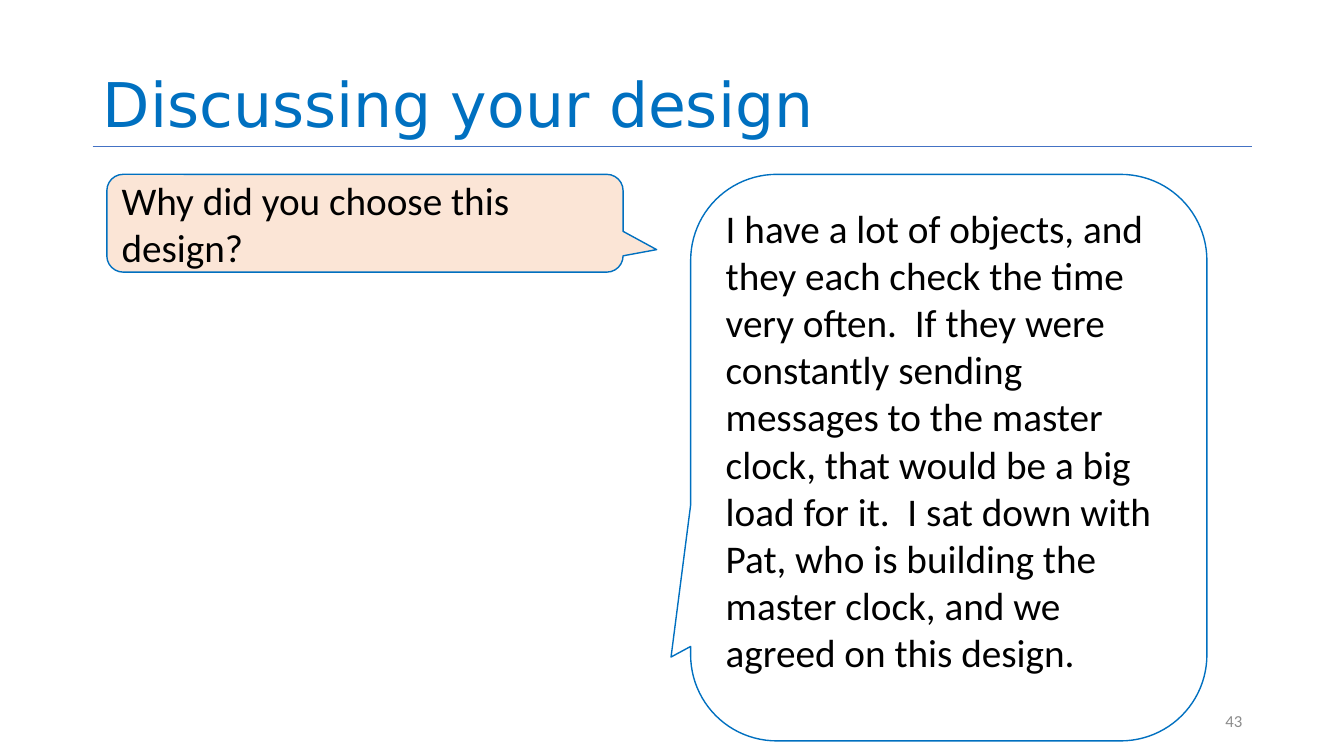
import pptx
import pptx.dml.color
import pptx.enum.shapes
import pptx.enum.text
import pptx.oxml
import pptx.util
from dataclasses import dataclass

TITLE = "Discussing your design"
NUMBER = "43"
QUESTION = "Why did you choose this design?"
ANSWER = (
    "I have a lot of objects, and they each check the time very often.  "
    "If they were constantly sending messages to the master clock, that "
    "would be a big load for it.  I sat down with Pat, who is building the "
    "master clock, and we agreed on this design."
)

Inches = pptx.util.Inches
Align = pptx.enum.text.PP_ALIGN
Anchor = pptx.enum.text.MSO_ANCHOR


@dataclass(frozen=True)
class Theme:
    blue: str = "0070C0"
    rule: str = "4472C4"
    peach: str = "FBE5D6"
    white: str = "FFFFFF"
    black: str = "000000"
    gray: str = "8C8C8C"
    head: str = "DejaVu Sans"
    body: str = "Calibri"
    title: int = 44
    talk: int = 28
    small: int = 12


theme = Theme()

# Callouts: text, top-left and size in inches, tail point, fill, anchor
TOP, WIDE = 1.73, 5.12
CALLOUTS = [
    (ANSWER, (6.85, TOP, WIDE, 5.62), (-0.538, 0.352), theme.white, Anchor.TOP),
    (QUESTION, (1.06, TOP, WIDE, 0.97), (0.565, 0.27), theme.peach, Anchor.MIDDLE),
]
LEFT, RIGHT, RULE = 0.92, 12.42, 1.45


def color(code):
    return pptx.dml.color.RGBColor.from_string(code)


def write(shape, text, size=theme.talk, font=theme.body, ink=theme.black,
          align=Align.LEFT, anchor=Anchor.MIDDLE, space=1.0):
    frame = shape.text_frame
    frame.word_wrap = True
    frame.vertical_anchor = anchor
    para = frame.paragraphs[0]
    para.alignment = align
    para.line_spacing = space
    run = para.add_run()
    run.text = text
    run.font.size = pptx.util.Pt(size)
    run.font.name = font
    run.font.color.rgb = color(ink)


def add_box(slide, box, text, **style):
    write(slide.shapes.add_textbox(*map(Inches, box)), text, **style)


def add_rule(slide):
    line = slide.shapes.add_connector(
        pptx.enum.shapes.MSO_CONNECTOR.STRAIGHT,
        Inches(LEFT), Inches(RULE), Inches(RIGHT), Inches(RULE))
    line.line.color.rgb = color(theme.rule)
    line.line.width = pptx.util.Pt(0.5)
    props = line._element.spPr
    props.append(props.makeelement(pptx.oxml.ns.qn("a:effectLst"), {}))


def add_callout(slide, text, box, tail, fill, anchor):
    shape = slide.shapes.add_shape(
        pptx.enum.shapes.MSO_SHAPE.ROUNDED_RECTANGULAR_CALLOUT,
        *map(Inches, box))
    shape.adjustments[0], shape.adjustments[1] = tail
    shape.shadow.inherit = False
    shape.fill.solid()
    shape.fill.fore_color.rgb = color(fill)
    shape.line.color.rgb = color(theme.blue)
    shape.line.width = pptx.util.Pt(1)
    write(shape, text, anchor=anchor)


def main():
    deck = pptx.Presentation()
    deck.slide_width, deck.slide_height = Inches(13.33), Inches(7.5)
    slide = deck.slides.add_slide(deck.slide_layouts[6])
    add_rule(slide)
    add_box(slide, (LEFT, 0, RIGHT - LEFT, RULE), TITLE, size=theme.title,
            font=theme.head, ink=theme.blue, anchor=Anchor.BOTTOM, space=0.9)
    add_box(slide, (RIGHT - 3, 6.95, 3, 0.4), NUMBER, size=theme.small,
            ink=theme.gray, align=Align.RIGHT)
    for callout in CALLOUTS:
        add_callout(slide, *callout)
    deck.save("out.pptx")


if __name__ == "__main__":
    main()
